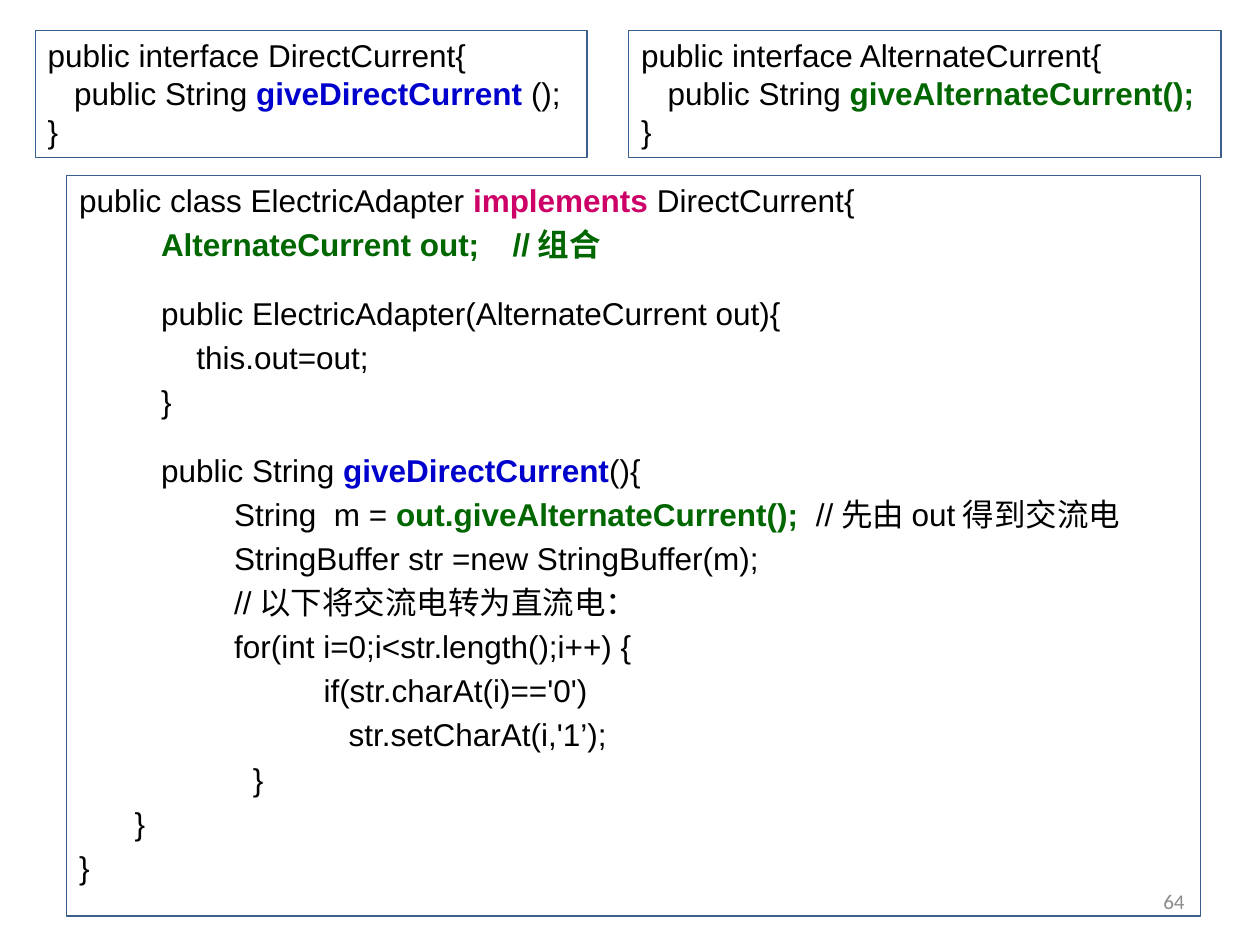
from pptx import Presentation
from pptx.dml.color import RGBColor
from pptx.enum.shapes import MSO_SHAPE
from pptx.enum.text import MSO_ANCHOR, PP_ALIGN
from pptx.util import Inches, Pt

BLACK, GREY, BORDER = "000000", "8C8C8C", "3A5F8C"
BLUE, GREEN, PINK = "0000CC", "006600", "CC0066"
LEVEL_MARGINS = [0, 0.44, 0.88, 1.38]
LINE_GAP, BLOCK_GAP = 3.6, 17.6


def rgb(hex_color):
    return RGBColor.from_string(hex_color)


class CodeSlide:
    """Holds the slide being built and the style of its code boxes."""

    code_font, code_size = "Arial", 18
    number_font, number_size = "Calibri", 12

    def __init__(self, slide):
        self.slide = slide

    def add_run(self, paragraph, text, font, size, color, bold=False):
        run = paragraph.add_run()
        run.text = text
        run.font.name = font
        run.font.size = Pt(size)
        run.font.bold = bold
        run.font.color.rgb = rgb(color)

    def add_code_line(self, paragraph, level, indent, gap, parts):
        """Parts are plain strings or (text, highlight colour) pairs."""
        paragraph.alignment = PP_ALIGN.LEFT
        paragraph.space_before = Pt(gap)
        properties = paragraph._p.get_or_add_pPr()
        properties.set("marL", str(Inches(LEVEL_MARGINS[level])))
        properties.set("indent", str(Inches(indent)))
        for part in parts:
            highlighted = isinstance(part, tuple)
            text, color = part if highlighted else (part, BLACK)
            self.add_run(paragraph, text, self.code_font, self.code_size,
                         color, highlighted)

    def add_code_box(self, left, top, width, height, lines):
        """Each line is (level, first-line indent, gap before, parts)."""
        box = self.slide.shapes.add_shape(
            MSO_SHAPE.RECTANGLE, Inches(left), Inches(top),
            Inches(width), Inches(height))
        box.shadow.inherit = False
        box.fill.background()
        box.line.color.rgb = rgb(BORDER)
        box.line.width = Pt(0.75)
        frame = box.text_frame
        frame.word_wrap = True
        frame.vertical_anchor = MSO_ANCHOR.TOP
        for number, line in enumerate(lines):
            paragraph = frame.add_paragraph() if number else frame.paragraphs[0]
            self.add_code_line(paragraph, *line)

    def add_interface(self, left, width, name, method_parts):
        self.add_code_box(left, 0.24, width, 1.01, [
            (0, 0, 0, [f"public interface {name}{{"]),
            (0, 0.21, 0, ["public String ", *method_parts]),
            (0, 0, 0, ["}"]),
        ])

    def add_page_number(self, number):
        box = self.slide.shapes.add_textbox(
            Inches(7.17), Inches(6.95), Inches(2.33), Inches(0.4))
        frame = box.text_frame
        frame.word_wrap = True
        frame.vertical_anchor = MSO_ANCHOR.MIDDLE
        paragraph = frame.paragraphs[0]
        paragraph.alignment = PP_ALIGN.RIGHT
        self.add_run(paragraph, number, self.number_font, self.number_size, GREY)


ADAPTER_LINES = [
    (0, 0, LINE_GAP, ["public class ElectricAdapter ", ("implements", PINK),
                      " DirectCurrent{"]),
    (1, 0.21, LINE_GAP, [("AlternateCurrent out;\t//组合", GREEN)]),
    (1, 0.21, BLOCK_GAP, ["public ElectricAdapter(AlternateCurrent out){"]),
    (1, 0.49, LINE_GAP, ["this.out=out;"]),
    (1, 0.21, LINE_GAP, ["}"]),
    (1, 0.21, BLOCK_GAP, ["public String ", ("giveDirectCurrent", BLUE), "(){"]),
    (2, 0.35, LINE_GAP, ["String  m = ", ("out.giveAlternateCurrent();", GREEN),
                         "  //先由out得到交流电"]),
    (2, 0.35, LINE_GAP, ["StringBuffer str =new StringBuffer(m);"]),
    (2, 0.35, LINE_GAP, ["//以下将交流电转为直流电："]),
    (2, 0.35, LINE_GAP, ["for(int i=0;i<str.length();i++) {"]),
    (3, 0.56, LINE_GAP, ["if(str.charAt(i)=='0')"]),
    (3, 0.76, LINE_GAP, ["str.setCharAt(i,'1’);"]),
    (3, 0, LINE_GAP, ["}"]),
    (1, 0, LINE_GAP, ["}"]),
    (0, 0, LINE_GAP, ["}"]),
]


def main():
    presentation = Presentation()
    presentation.slide_width = Inches(10)
    presentation.slide_height = Inches(7.5)
    blank_layout = presentation.slide_layouts[6]
    page = CodeSlide(presentation.slides.add_slide(blank_layout))

    page.add_code_box(0.53, 1.39, 9, 5.88, ADAPTER_LINES)
    page.add_page_number("64")
    page.add_interface(0.28, 4.38, "DirectCurrent",
                       [("giveDirectCurrent", BLUE), " ();"])
    page.add_interface(4.99, 4.7, "AlternateCurrent",
                       [("giveAlternateCurrent();", GREEN)])

    presentation.save("out.pptx")


if __name__ == "__main__":
    main()
